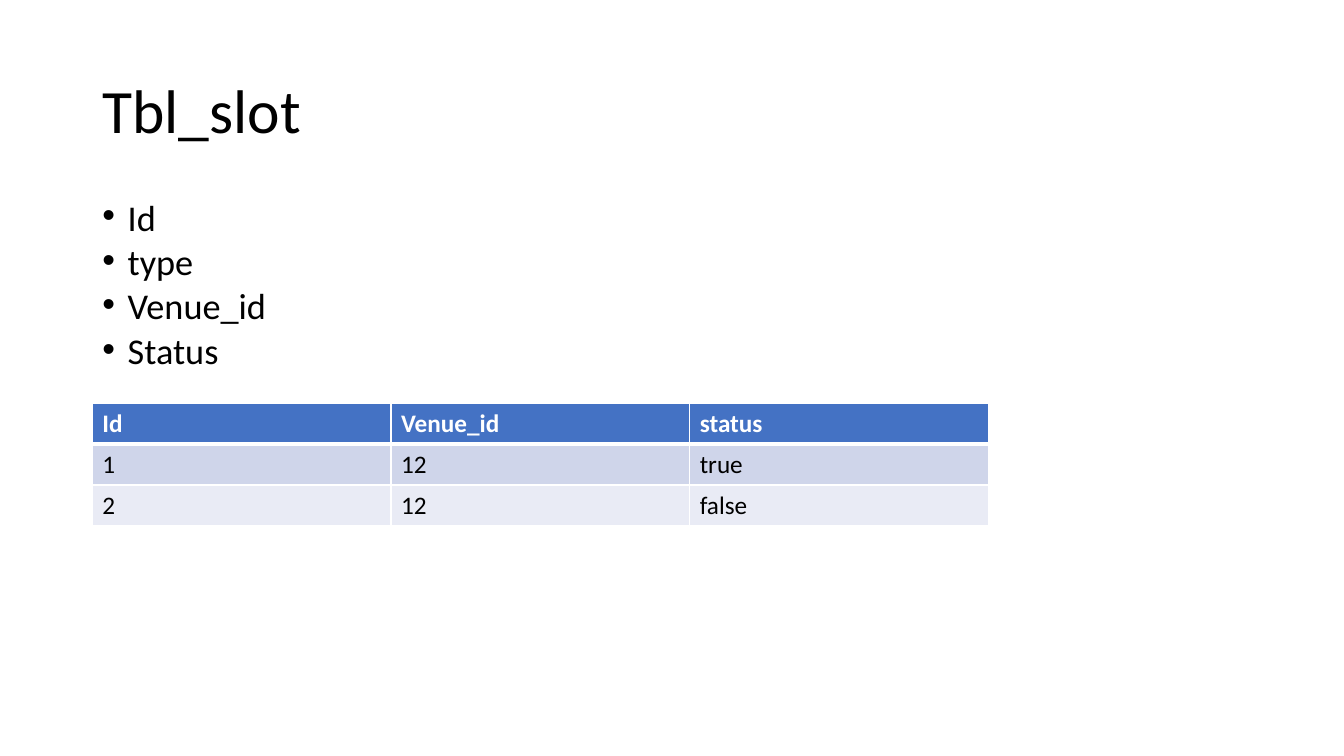
from lxml.etree import SubElement
from pptx import Presentation
from pptx.dml.color import RGBColor
from pptx.enum.text import MSO_ANCHOR, MSO_AUTO_SIZE, PP_ALIGN
from pptx.oxml.ns import qn
from pptx.util import Inches, Pt

FONT = "Calibri"
COLORS = {"text": "000000", "white": "FFFFFF", "header": "4472C4",
          "odd_row": "CFD5EA", "even_row": "E9EBF5"}
CELL = Inches(1) / 12  # the slide is a grid of 160 columns by 90 rows
LEFT, WIDTH = 11, 138  # shared margin and text width, in columns


def grid(*counts):
    """Turn counts of grid columns or rows into slide lengths."""
    return [round(count * CELL) for count in counts]


class SlideBuilder:
    """Holds the style and the current slide."""

    def __init__(self, slide):
        self.slide = slide

    def style(self, paragraph, size, color="text", bold=False):
        """Format every run of a paragraph."""
        for run in paragraph.runs:
            run.font.name, run.font.size, run.font.bold = FONT, Pt(size), bold
            run.font.color.rgb = RGBColor.from_string(COLORS[color])

    def place(self, shape, top, height, anchor):
        """Move a placeholder onto the grid and set its text frame."""
        shape.left, shape.top, shape.width, shape.height = grid(LEFT, top, WIDTH, height)
        frame = shape.text_frame
        frame.word_wrap, frame.auto_size = True, MSO_AUTO_SIZE.NONE
        frame.vertical_anchor = anchor
        return frame

    def title(self, text, top, height):
        """Fill the title placeholder."""
        frame = self.place(self.slide.shapes.title, top, height, MSO_ANCHOR.MIDDLE)
        frame.text = text
        paragraph = frame.paragraphs[0]
        paragraph.alignment, paragraph.line_spacing = PP_ALIGN.LEFT, 0.9
        self.style(paragraph, 44)

    def bullets(self, items, top, height):
        """Fill the body placeholder with a bulleted list."""
        frame = self.place(self.slide.placeholders[1], top, height, MSO_ANCHOR.TOP)
        frame.text = "\n".join(items)
        for paragraph in frame.paragraphs:
            paragraph.line_spacing, paragraph.space_before = 0.7, Pt(10)
            properties = paragraph._p.get_or_add_pPr()
            properties.set("marL", str(Inches(0.25)))
            properties.set("indent", str(Inches(-0.25)))
            SubElement(properties, qn("a:buFont"), typeface="Arial")
            SubElement(properties, qn("a:buChar"), char="•")
            self.style(paragraph, 25.9)

    def borders(self, cell, top, bottom):
        """Draw white cell borders; top and bottom are widths in points."""
        properties = cell._tc.get_or_add_tcPr()
        for side, width in {"L": 1, "R": 1, "T": top, "B": bottom}.items():
            line = SubElement(properties, qn(f"a:ln{side}"), w=str(Pt(width)))
            fill = SubElement(line, qn("a:solidFill"))
            SubElement(fill, qn("a:srgbClr"), val=COLORS["white"])

    def table(self, records, top, width, row_height):
        """Add a table with a header row and banded records."""
        box = grid(LEFT, top, width, row_height * len(records))
        table = self.slide.shapes.add_table(len(records), len(records[0]), *box).table
        for row, record in enumerate(records):
            is_header = row == 0
            fill = "header" if is_header else "odd_row" if row % 2 else "even_row"
            for column, value in enumerate(record):
                cell = table.cell(row, column)
                cell.text = value
                self.style(cell.text_frame.paragraphs[0], 18,
                           "white" if is_header else "text", is_header)
                self.borders(cell, 3 if row == 1 else 1, 3 if is_header else 1)
                cell.fill.solid()
                cell.fill.fore_color.rgb = RGBColor.from_string(COLORS[fill])


def main():
    """Build and save the slot table slide."""
    presentation = Presentation()
    presentation.slide_width, presentation.slide_height = grid(160, 90)
    layout = presentation.slide_layouts[1]
    builder = SlideBuilder(presentation.slides.add_slide(layout))
    builder.title("Tbl_slot", top=4.8, height=17.4)
    builder.bullets(["Id", "type", "Venue_id", "Status"], top=24, height=22.3)
    builder.table([["Id", "Venue_id", "status"],
                   ["1", "12", "true"],
                   ["2", "12", "false"]], top=48, width=106.67, row_height=4.87)
    presentation.save("out.pptx")


main()
